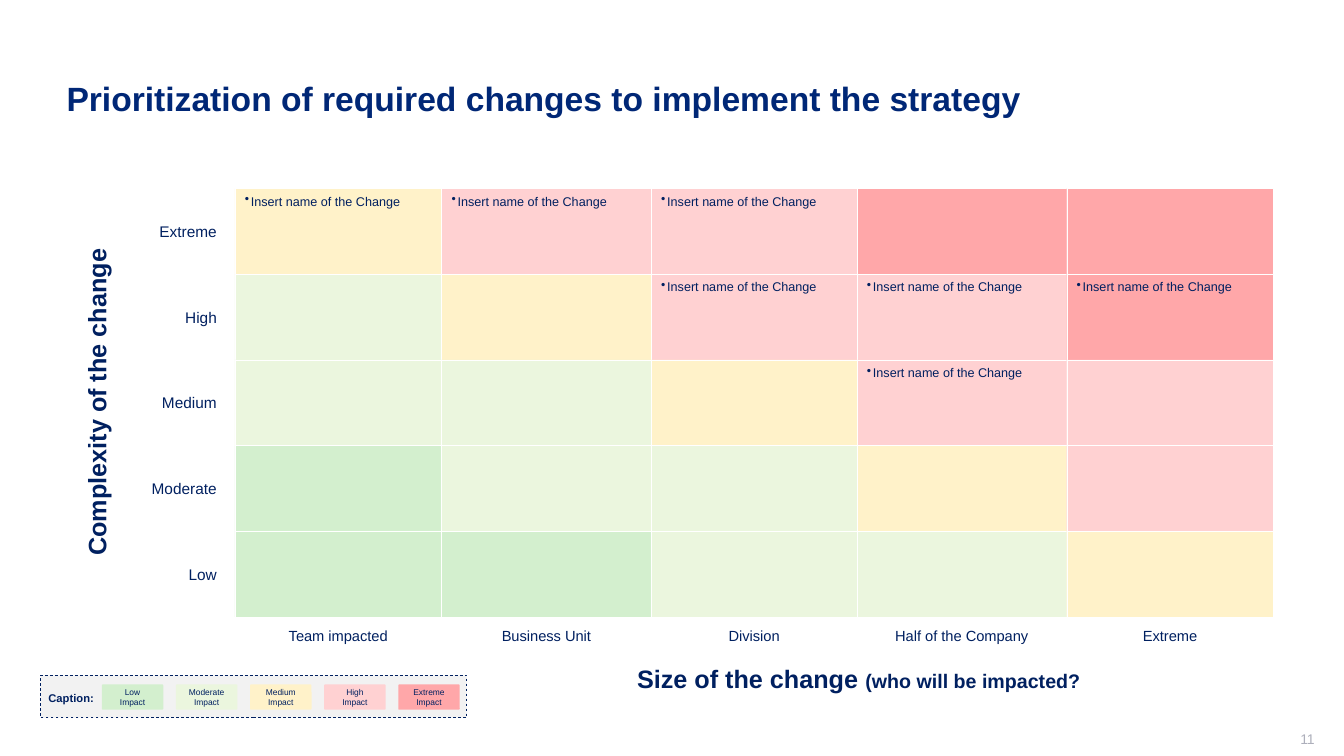
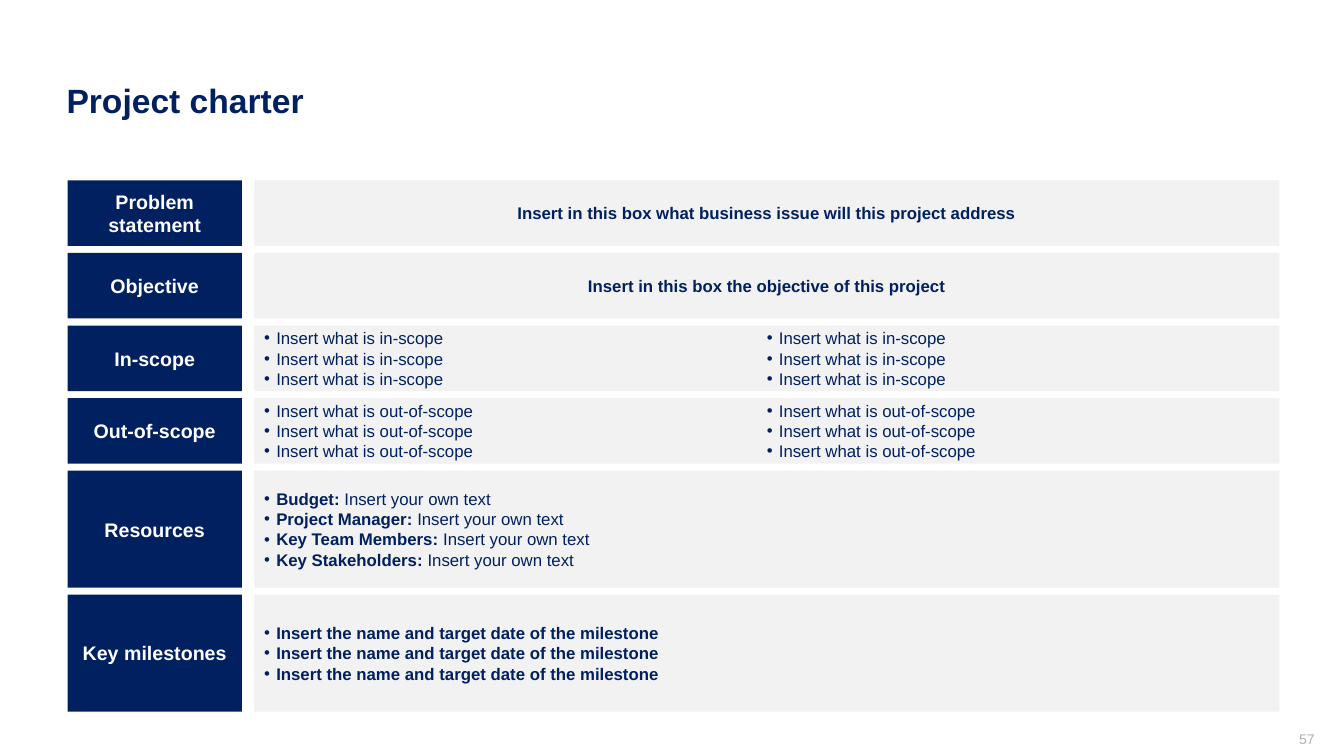
"""Build a change prioritization matrix slide and a project charter slide."""
from dataclasses import dataclass
from itertools import accumulate
from typing import NamedTuple, Optional

from pptx import Presentation
from pptx.dml.color import RGBColor
from pptx.enum import dml, shapes, text
from pptx.oxml.ns import qn
from pptx.util import Inches, Pt

COLORS = {
    "navy": "002060", "title": "002776", "white": "FFFFFF", "panel": "F2F2F2", "page": "ADAFBB",
    "Low": "D3EFCE", "Moderate": "EBF6DE", "Medium": "FFF2C9", "High": "FFD1D2", "Extreme": "FFA7A9",
}
FONT = "Arial"
LEFT, CENTER, RIGHT = text.PP_ALIGN.LEFT, text.PP_ALIGN.CENTER, text.PP_ALIGN.RIGHT
TOP, MIDDLE = text.MSO_ANCHOR.TOP, text.MSO_ANCHOR.MIDDLE
RECT, ROUNDED = shapes.MSO_SHAPE.RECTANGLE, shapes.MSO_SHAPE.ROUNDED_RECTANGLE

COLUMN_WIDTHS = [2.05, 2.08, 2.04, 2.08, 2.05]
GRID_LEFT, GRID_TOP, ROW_HEIGHT = 2.33, 1.87, 0.85
SIZES = ["Team impacted", "Business Unit", "Division", "Half of the Company", "Extreme"]
IMPACTS = ["Low", "Moderate", "Medium", "High", "Extreme"]
CHANGE = "Insert name of the Change"
CHARTER_TOP, CHARTER_GAP = 1.79, 0.07


class Box(NamedTuple):
    left: float
    top: float
    width: float
    height: float


class Span(NamedTuple):
    content: str
    bold: bool = False
    size: Optional[float] = None


@dataclass(frozen=True)
class Style:
    size: float
    color: str = "navy"
    align: text.PP_ALIGN = LEFT
    anchor: text.MSO_ANCHOR = MIDDLE
    insets: tuple = (0.1, 0.05, 0.1, 0.05)
    bullet: float = 0
    columns: int = 1
    space: float = 0
    line_spacing: float = 1.0
    wrap: bool = True


@dataclass(frozen=True)
class MatrixRow:
    complexity: str
    impacts: list
    changes: tuple = ()


@dataclass(frozen=True)
class CharterRow:
    heading: str
    height: float
    lines: list
    style: Style


PAGE = Style(10, "page", RIGHT, insets=(0.1, 0, 0, 0.05))
CAPTION = Style(8, insets=(0.08, 0.1, 0.08, 0.08))
LEGEND = Style(6, align=CENTER, space=3)
AXIS = Style(18, align=CENTER, wrap=False)
SIZE_AXIS = Style(18)
SIZE_LABEL = Style(10.5, align=CENTER)
COMPLEXITY_LABEL = Style(11, align=RIGHT)
CELL = Style(9, anchor=TOP, bullet=0.06)
HEADING = Style(14, "white", CENTER)
STATEMENT = Style(12, align=CENTER)
BULLETS = Style(12, bullet=0.12)
TWO_COLUMNS = Style(12, bullet=0.12, columns=2)

MATRIX = [
    MatrixRow("Extreme", ["Medium", "High", "High", "Extreme", "Extreme"], (0, 1, 2)),
    MatrixRow("High", ["Moderate", "Medium", "High", "High", "Extreme"], (2, 3, 4)),
    MatrixRow("Medium", ["Moderate", "Moderate", "Medium", "High", "High"], (3,)),
    MatrixRow("Moderate", ["Low", "Moderate", "Moderate", "Medium", "High"]),
    MatrixRow("Low", ["Low", "Low", "Moderate", "Moderate", "Medium"]),
]
RESOURCES = ["Budget: ", "Project Manager: ", "Key Team Members: ", "Key Stakeholders: "]
CHARTER = [
    CharterRow("Problem statement", 0.65,
               [[Span("Insert in this box what business issue will this project address", True)]], STATEMENT),
    CharterRow("Objective", 0.65, [[Span("Insert in this box the objective of this project", True)]], STATEMENT),
    CharterRow("In-scope", 0.65, [[Span("Insert what is in-scope")]] * 6, TWO_COLUMNS),
    CharterRow("Out-of-scope", 0.65, [[Span("Insert what is out-of-scope")]] * 6, TWO_COLUMNS),
    CharterRow("Resources", 1.16,
               [[Span(resource, True), Span("Insert your own text")] for resource in RESOURCES], BULLETS),
    CharterRow("Key milestones", 1.16,
               [[Span("Insert the name and target date of the milestone", True)]] * 3, BULLETS),
]


def rgb(name: str) -> RGBColor:
    return RGBColor.from_string(COLORS[name])


def place(shape, box: Box) -> None:
    shape.left, shape.top, shape.width, shape.height = map(Inches, box)


def write(shape, lines: list, style: Style) -> None:
    frame = shape.text_frame
    frame.word_wrap = style.wrap
    frame.auto_size = text.MSO_AUTO_SIZE.NONE
    frame.vertical_anchor = style.anchor
    frame.margin_left, frame.margin_top, frame.margin_right, frame.margin_bottom = map(Inches, style.insets)
    if style.columns > 1:
        frame._txBody.bodyPr.set("numCol", str(style.columns))
    for index, spans in enumerate(lines):
        paragraph = frame.add_paragraph() if index else frame.paragraphs[0]
        paragraph.alignment = style.align
        paragraph.line_spacing = style.line_spacing
        paragraph.space_before = paragraph.space_after = Pt(style.space)
        if style.bullet:
            properties = paragraph._p.get_or_add_pPr()
            properties.set("marL", str(Inches(style.bullet)))
            properties.set("indent", str(-Inches(style.bullet)))
            properties.makeelement(qn("a:buChar"), {"char": "•"})
            properties.append(properties.makeelement(qn("a:buChar"), {"char": "•"}))
        for span in spans:
            run = paragraph.add_run()
            run.text = span.content
            run.font.name = FONT
            run.font.size = Pt(span.size or style.size)
            run.font.bold = span.bold
            run.font.color.rgb = rgb(style.color)


def paint(shape, fill: str, line: Optional[str] = None, width: float = 0.25) -> None:
    shape.fill.solid()
    shape.fill.fore_color.rgb = rgb(fill)
    if line:
        shape.line.color.rgb = rgb(line)
        shape.line.width = Pt(width)
    else:
        shape.line.fill.background()


def add_panel(slide, box: Box, fill: str, line: Optional[str] = None, kind=RECT):
    panel = slide.shapes.add_shape(kind, *map(Inches, box))
    panel.shadow.inherit = False
    paint(panel, fill, line)
    return panel


def add_label(slide, box: Box, spans: list, style: Style):
    label = slide.shapes.add_textbox(*map(Inches, box))
    write(label, [spans], style)
    return label


def add_slide(deck, layout: int, title: str, page: str, title_style: Style):
    slide = deck.slides.add_slide(deck.slide_layouts[layout])
    place(slide.shapes.title, Box(0.56, 0.4, 12.11, 1.19))
    write(slide.shapes.title, [[Span(title, True)]], title_style)
    add_label(slide, Box(10.04, 7.25, 3, 0.21), [Span(page)], PAGE)
    return slide


def add_legend(slide) -> None:
    caption = add_panel(slide, Box(0.4, 6.7, 4.23, 0.42), "panel")
    paint(caption, "panel", "navy", 0.5)
    caption.line.dash_style = dml.MSO_LINE.DASH
    write(caption, [[Span("Caption:", True)]], CAPTION)
    first, last = 1.01, 3.95
    pitch = (last - first) / (len(IMPACTS) - 1)
    for index, impact in enumerate(IMPACTS):
        swatch = add_panel(slide, Box(first + index * pitch, 6.79, 0.61, 0.25), impact, kind=ROUNDED)
        swatch.adjustments[0] = 0.04
        write(swatch, [[Span(f"{impact} Impact")]], LEGEND)


def add_matrix(slide) -> None:
    lefts = list(accumulate(COLUMN_WIDTHS, initial=GRID_LEFT))
    for row_index, row in enumerate(MATRIX):
        top = GRID_TOP + row_index * ROW_HEIGHT
        add_label(slide, Box(1, top + 0.28, 1.25, 0.29), [Span(row.complexity)], COMPLEXITY_LABEL)
        for column, (left, width, impact) in enumerate(zip(lefts, COLUMN_WIDTHS, row.impacts)):
            cell = add_panel(slide, Box(left, top, width, ROW_HEIGHT), impact, "white")
            if column in row.changes:
                write(cell, [[Span(CHANGE)]], CELL)
    for left, width, size in zip(lefts, COLUMN_WIDTHS, SIZES):
        add_label(slide, Box(left, 6.17, width, 0.28), [Span(size)], SIZE_LABEL)


def build_prioritization(deck) -> None:
    slide = add_slide(deck, 5, "Prioritization of required changes to implement the strategy", "11",
                      Style(24, "title", space=2, line_spacing=0.9))
    add_legend(slide)
    complexity = add_label(slide, Box(-0.78, 3.74, 3.47, 0.5), [Span("Complexity of the change", True)], AXIS)
    complexity.rotation = 270
    add_label(slide, Box(6.22, 6.48, 4.78, 0.5),
              [Span("Size of the change ", True), Span("(who will be impacted?", True, 14)], SIZE_AXIS)
    add_matrix(slide)


def build_charter(deck) -> None:
    slide = add_slide(deck, 4, "Project charter", "57", Style(24))
    bodies = iter([holder for holder in slide.placeholders if holder.placeholder_format.idx])
    top = CHARTER_TOP
    for row in CHARTER:
        heading = add_panel(slide, Box(0.67, top, 1.73, row.height), "navy")
        write(heading, [[Span(row.heading, True)]], HEADING)
        box = Box(2.52, top, 10.17, row.height)
        if row.style.bullet:
            details = next(bodies)
            place(details, box)
            paint(details, "panel")
        else:
            details = add_panel(slide, box, "panel")
        write(details, row.lines, row.style)
        top += row.height + CHARTER_GAP


def main() -> None:
    deck = Presentation()
    deck.slide_width, deck.slide_height = Inches(13.33), Inches(7.5)
    build_prioritization(deck)
    build_charter(deck)
    deck.save("out.pptx")


if __name__ == "__main__":
    main()
